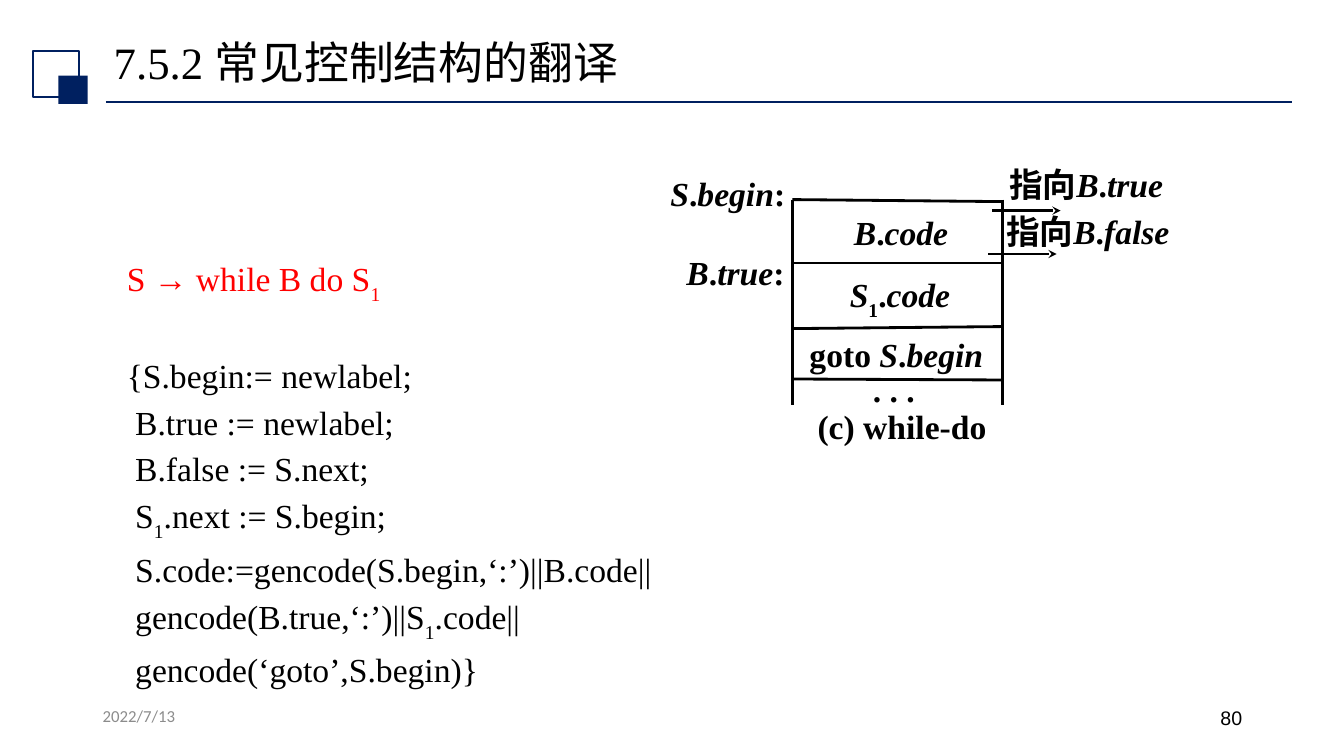
from lxml import etree
from pptx import Presentation
from pptx import util as u
from pptx.dml.color import RGBColor
from pptx.enum import shapes, text
from pptx.oxml import ns

NAVY, BLACK, RED, GRAY = "002060", "000000", "FF0000", "8C8C8C"


def color(value):
    return RGBColor.from_string(value)


class SlideBuilder:
    font_name = "Times New Roman"
    body_size = 24

    def __init__(self, slide):
        self.slide = slide

    def square(self, left, top, width, height, fill=None):
        shape = self.slide.shapes.add_shape(
            shapes.MSO_SHAPE.RECTANGLE,
            *map(u.Inches, (left, top, width, height)))
        shape.shadow.inherit = False
        if fill:
            shape.fill.solid()
            shape.fill.fore_color.rgb = color(fill)
            shape.line.fill.background()
        else:
            shape.fill.background()
            shape.line.color.rgb = color(NAVY)
            shape.line.width = u.Pt(1.5)

    def line(self, start, end, stroke=BLACK, width=2, arrow=False):
        connector = self.slide.shapes.add_connector(
            shapes.MSO_CONNECTOR.STRAIGHT, *map(u.Inches, (*start, *end)))
        connector.line.color.rgb = color(stroke)
        connector.line.width = u.Pt(width)
        if arrow:
            outline = connector.line._get_or_add_ln()
            etree.SubElement(outline, ns.qn("a:tailEnd"), type="stealth")
        etree.SubElement(connector._element.spPr, ns.qn("a:effectLst"))

    def text_box(self, left, top, width, height, anchor=text.MSO_ANCHOR.TOP):
        box = self.slide.shapes.add_textbox(
            *map(u.Inches, (left, top, width, height)))
        frame = box.text_frame
        frame.word_wrap = True
        frame.vertical_anchor = anchor
        return frame

    def fill_paragraph(self, paragraph, markup, size=body_size, fill=BLACK,
                       name=font_name, bold=False,
                       align=text.PP_ALIGN.JUSTIFY):
        """Asterisks enclose italics; tildes enclose subscripts."""
        paragraph.alignment = align
        font = paragraph.font
        font.name, font.size, font.bold = name, u.Pt(size), bold
        font.color.rgb = color(fill)
        for i, piece in enumerate(markup.split("*")):
            for j, part in enumerate(piece.split("~")):
                if not part:
                    continue
                run = paragraph.add_run()
                run.text = part
                if i % 2:
                    run.font.italic = True
                if j % 2:
                    run._r.get_or_add_rPr().set("baseline", "-30000")

    def label(self, left, top, width, markup):
        frame = self.text_box(left, top, width, 0.55)
        self.fill_paragraph(frame.paragraphs[0], markup, bold=True)

    def title(self, markup):
        frame = self.text_box(1.03, 0.34, 11.5, 0.61, text.MSO_ANCHOR.MIDDLE)
        paragraph = frame.paragraphs[0]
        paragraph.line_spacing = 0.9
        self.fill_paragraph(paragraph, markup, size=32,
                            align=text.PP_ALIGN.LEFT)

    def footer(self, left, markup, **style):
        frame = self.text_box(left, 6.95, 3, 0.4)
        self.fill_paragraph(frame.paragraphs[0], markup, **style)

    def translation_scheme(self, production, actions):
        frame = self.text_box(1.16, 2.46, 10.7, 4.3)
        paragraph = frame.paragraphs[0]
        paragraph.line_spacing = 1.1
        self.fill_paragraph(paragraph, production, fill=RED)
        for index, action in enumerate(actions):
            paragraph = frame.add_paragraph()
            paragraph.line_spacing = 1.1
            paragraph.space_before = u.Pt(1.4 if index else 33)
            self.fill_paragraph(paragraph, action)


def main():
    presentation = Presentation()
    presentation.slide_width = u.Inches(13.33)
    presentation.slide_height = u.Inches(7.5)
    slide = presentation.slides.add_slide(presentation.slide_layouts[6])
    builder = SlideBuilder(slide)

    builder.line((1.05, 1.01), (12.81, 1.01), NAVY, 1.25)
    builder.square(0.33, 0.51, 0.45, 0.45)
    builder.square(0.58, 0.75, 0.29, 0.28, NAVY)
    builder.title("7.5.2 常见控制结构的翻译")
    builder.footer(0.92, "2022/7/13", size=12, fill=GRAY, name="Calibri",
                   align=text.PP_ALIGN.LEFT)
    builder.footer(9.42, "80", size=14, name="Arial",
                   align=text.PP_ALIGN.RIGHT)

    builder.translation_scheme("S → while B do S~1~", [
        "{S.begin:= newlabel;",
        " B.true := newlabel;",
        " B.false := S.next;",
        " S~1~.next := S.begin;",
        " S.code:=gencode(S.begin,‘:’)||B.code||",
        " gencode(B.true,‘:’)||S~1~.code||",
        " gencode(‘goto’,S.begin)}",
    ])

    left, right = 7.86, 9.94
    for side in (left, right):
        builder.line((side, 1.98), (side, 4.02))
    for start, end in ((1.98, 2), (2.61, 2.61), (3.26, 3.24), (3.76, 3.77)):
        builder.line((left, start), (right, end))
    for x, y in ((9.84, 2.09), (9.8, 2.52)):
        builder.line((x, y), (x + 0.68, y), arrow=True)

    for label in (
        (6.55, 1.67, 2.02, "*S*.*begin*:"),
        (6.71, 2.45, 1.53, "*B*.*true*:"),
        (8.37, 2.05, 1.55, "*B*.*code*"),
        (8.33, 2.67, 1.72, "*S*~1~.*code*"),
        (7.93, 3.26, 2.89, "goto *S*.*begin*"),
        (8.56, 3.61, 1.07, ". . ."),
        (8.01, 3.98, 2.82, "(c) while-do"),
        (9.91, 1.58, 2.47, "指向*B*.*true*"),
        (9.88, 2.04, 2.65, "指向*B*.*false*"),
    ):
        builder.label(*label)

    presentation.save("out.pptx")


if __name__ == "__main__":
    main()
